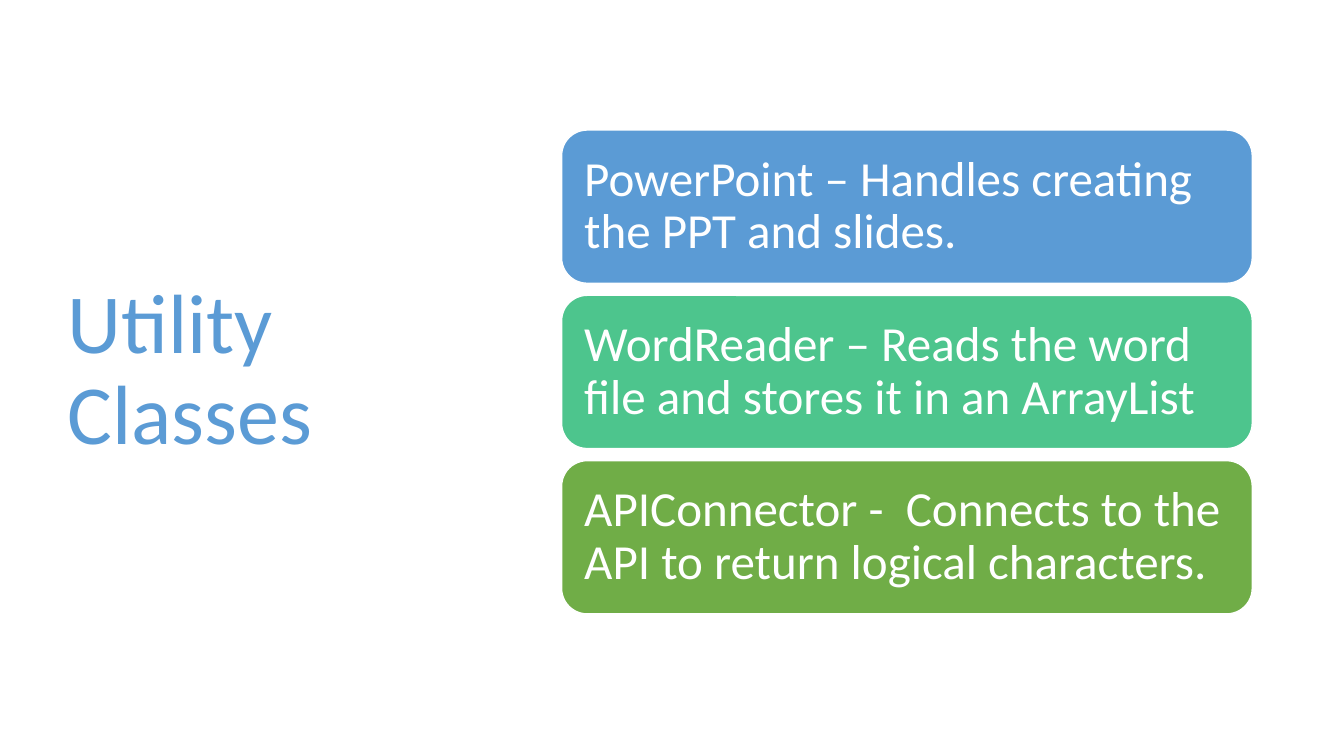
import dataclasses

import pptx
import pptx.dml.color
import pptx.enum.shapes
import pptx.enum.text
import pptx.shapes.autoshape
import pptx.slide
import pptx.util

Inches = pptx.util.Inches
RGBColor = pptx.dml.color.RGBColor

BLUE = RGBColor(0x5B, 0x9B, 0xD5)
MINT = RGBColor(0x4D, 0xC5, 0x8D)
GREEN = RGBColor(0x70, 0xAD, 0x47)
WHITE = RGBColor(0xFF, 0xFF, 0xFF)

CARD_LEFT = Inches(5.57)
CARD_TOP = Inches(1.29)
CARD_WIDTH = Inches(6.85)
CARD_HEIGHT = Inches(1.52)
CARD_GAP = Inches(0.12)
CARD_INSET = Inches(0.15)

FRAME_FORMAT = {
    "word_wrap": True,
    "auto_size": pptx.enum.text.MSO_AUTO_SIZE.NONE,
    "vertical_anchor": pptx.enum.text.MSO_ANCHOR.MIDDLE,
}
CARD_MARGINS = {"margin_left": CARD_INSET, "margin_right": CARD_INSET}
PARAGRAPH_FORMAT = {
    "alignment": pptx.enum.text.PP_ALIGN.LEFT,
    "line_spacing": 0.9,
}


@dataclasses.dataclass(frozen=True)
class UtilityClass:
    """A utility class: its description and card colour."""

    description: str
    color: RGBColor


UTILITY_CLASSES = [
    UtilityClass("PowerPoint – Handles creating the PPT and slides.", BLUE),
    UtilityClass("WordReader – Reads the word file and stores it in an ArrayList", MINT),
    UtilityClass("APIConnector -  Connects to the API to return logical characters.", GREEN),
]


def apply_format(target: object, values: dict) -> None:
    """Set every attribute named in values on the target."""
    for name, value in values.items():
        setattr(target, name, value)


def write_text(
    holder: pptx.shapes.autoshape.Shape, text: str, size: int, color: RGBColor
) -> None:
    """Write left-aligned, vertically centred text into a shape."""
    frame = holder.text_frame
    apply_format(frame, FRAME_FORMAT)
    frame.text = text
    paragraph = frame.paragraphs[0]
    apply_format(paragraph, PARAGRAPH_FORMAT)
    font = paragraph.runs[0].font
    apply_format(font, {"name": "Calibri", "size": pptx.util.Pt(size)})
    font.color.rgb = color


def add_title(slide: pptx.slide.Slide, text: str) -> None:
    """Place the slide title down the left side."""
    title = slide.shapes.title
    apply_format(title, {
        "left": Inches(0.57), "top": Inches(0.68),
        "width": Inches(4.16), "height": Inches(6.02),
    })
    write_text(title, text, 60, BLUE)


def add_card(slide: pptx.slide.Slide, row: int, utility: UtilityClass) -> None:
    """Draw one rounded card at its row in the stack."""
    card = slide.shapes.add_shape(
        pptx.enum.shapes.MSO_SHAPE.ROUNDED_RECTANGLE,
        CARD_LEFT, CARD_TOP + row * (CARD_HEIGHT + CARD_GAP),
        CARD_WIDTH, CARD_HEIGHT,
    )
    card.shadow.inherit = False
    card.fill.solid()
    card.fill.fore_color.rgb = utility.color
    card.line.color.rgb = WHITE
    card.line.width = pptx.util.Pt(1)
    apply_format(card.text_frame, CARD_MARGINS)
    write_text(card, utility.description, 35, WHITE)


def main() -> None:
    """Build the slide and save it."""
    presentation = pptx.Presentation()
    presentation.slide_width = Inches(13.33)
    presentation.slide_height = Inches(7.5)
    slide = presentation.slides.add_slide(presentation.slide_layouts[5])
    add_title(slide, "Utility Classes")
    for row, utility in enumerate(UTILITY_CLASSES):
        add_card(slide, row, utility)
    presentation.save("out.pptx")


main()
